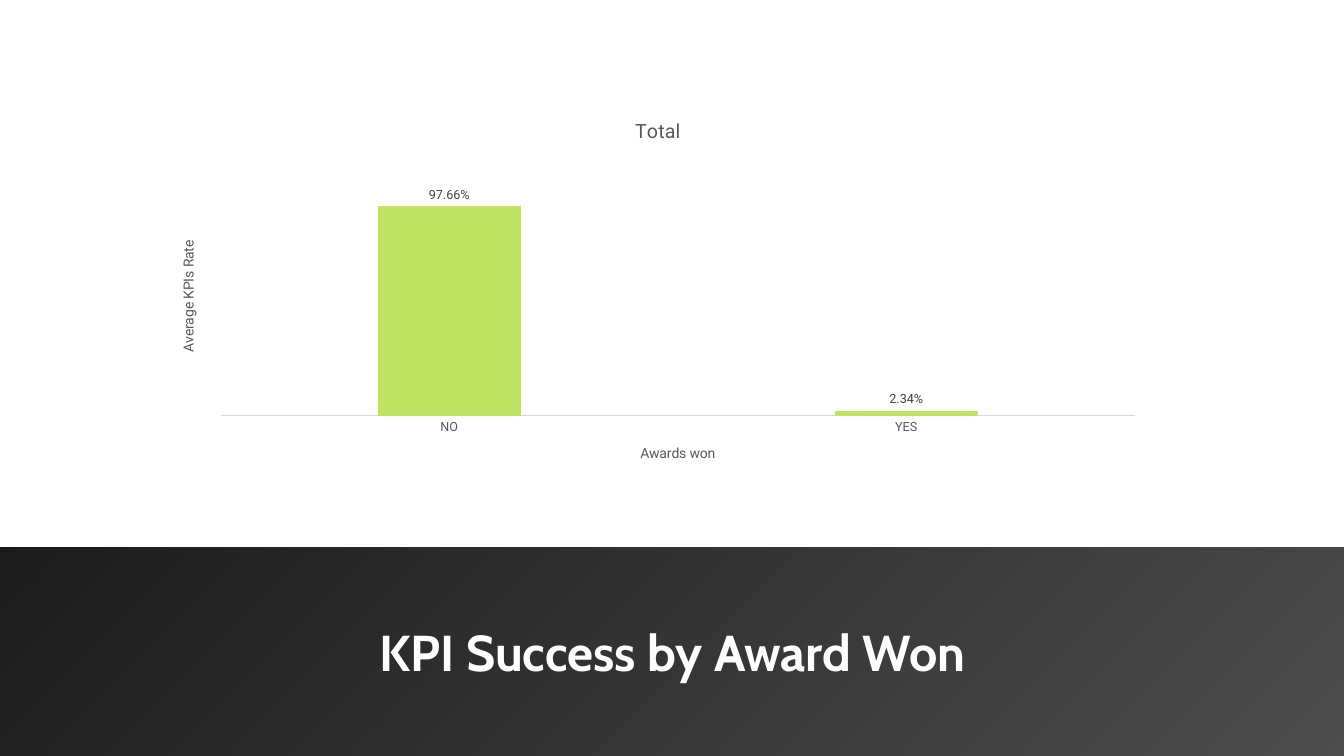
import pptx
import pptx.util
import pptx.chart.data
import pptx.dml.color
import pptx.enum.chart
import pptx.enum.shapes
import pptx.enum.text
import pptx.oxml.ns
import pptx.oxml.xmlchemy

# Content
TITLE = "KPI Success by Award Won"
CHART_TITLE = "Total"
CATEGORY_TITLE = "Awards won"
VALUE_TITLE = "Average KPIs Rate"
RATES = {"NO": 0.9766, "YES": 0.0234}
PERCENT = "0.00%"

COLORS = {"bar": "BFE462", "band": "000000", "white": "FFFFFF",
          "grey": "595959", "label": "404040", "axis": "D9D9D9"}
BAND_ALPHA = (70, 90)  # percent opacity, bottom right to top left
PLOT = {"x": 0.06, "y": 0.15, "w": 0.92, "h": 0.67}  # share of the chart

# Layout
Cm = pptx.util.Cm
SLIDE_W, SLIDE_H = Cm(33.87), Cm(19.05)
BAND_TOP = Cm(13.79)


def rgb(name):
    return pptx.dml.color.RGBColor.from_string(COLORS[name])


def set_font(font, size, color, name="Roboto", bold=False):
    font.size, font.name, font.bold = pptx.util.Pt(size), name, bold
    font.color.rgb = rgb(color)


def write(tf, text, align=None, **style):
    p = tf.paragraphs[0]
    p.alignment = align
    r = p.add_run()
    r.text = text
    set_font(r.font, **style)


def add_xml(parent, tag, value=None):
    child = pptx.oxml.xmlchemy.OxmlElement(tag)
    if value is not None:
        child.set("val", str(value))
    parent.append(child)
    return child


prs = pptx.Presentation()
prs.slide_width, prs.slide_height = SLIDE_W, SLIDE_H
s = prs.slides.add_slide(prs.slide_layouts[6])

# Dark band
band = s.shapes.add_shape(pptx.enum.shapes.MSO_SHAPE.RECTANGLE,
                          0, BAND_TOP, SLIDE_W, SLIDE_H - BAND_TOP)
band.shadow.inherit = False
band.line.fill.background()
band.fill.gradient()
band.fill.gradient_angle = 135
for stop in band.fill.gradient_stops:
    stop.color.rgb = rgb("band")
stop_colors = band.element.spPr.iter(pptx.oxml.ns.qn("a:srgbClr"))
for color, alpha in zip(list(stop_colors), BAND_ALPHA):
    add_xml(color, "a:alpha", alpha * 1000)

# Slide title
box = s.shapes.add_textbox(Cm(2.39), Cm(15.52), Cm(29.11), Cm(3.33))
box.text_frame.word_wrap = True
write(box.text_frame, TITLE, align=pptx.enum.text.PP_ALIGN.CENTER,
      size=36, color="white", name="Cabin", bold=True)

# Column chart
data = pptx.chart.data.CategoryChartData(number_format=PERCENT)
data.categories = list(RATES)
data.add_series(CHART_TITLE, list(RATES.values()))
chart = s.shapes.add_chart(pptx.enum.chart.XL_CHART_TYPE.COLUMN_CLUSTERED,
                           Cm(4.06), Cm(2.54), Cm(25.04), Cm(9.68), data).chart
set_font(chart.font, 10, "grey")
chart.has_legend = False
chart.has_title = True
write(chart.chart_title.text_frame, CHART_TITLE, size=14, color="grey")

# Axes
cat, val = chart.category_axis, chart.value_axis
for axis, title in ((cat, CATEGORY_TITLE), (val, VALUE_TITLE)):
    axis.has_major_gridlines = False
    axis.major_tick_mark = pptx.enum.chart.XL_TICK_MARK.NONE
    axis.has_title = True
    write(axis.axis_title.text_frame, title, size=10, color="grey")
body = val.axis_title.element.find(".//" + pptx.oxml.ns.qn("a:bodyPr"))
body.set("rot", "-5400000")
body.set("vert", "horz")
set_font(cat.tick_labels.font, 9, "grey")
cat.format.line.color.rgb = rgb("axis")
cat.format.line.width = pptx.util.Pt(0.75)
val.minimum_scale, val.maximum_scale = 0, 1.2
val.visible = False

# Columns and their labels
plot = chart.plots[0]
plot.gap_width, plot.overlap = 219, -27
plot.vary_by_categories = False
series = plot.series[0]
series.format.fill.solid()
series.format.fill.fore_color.rgb = rgb("bar")
labels = series.data_labels
labels.show_value = True
labels.number_format, labels.number_format_is_linked = PERCENT, False
labels.position = pptx.enum.chart.XL_LABEL_POSITION.OUTSIDE_END
set_font(labels.font, 9, "label")

# Fixed plot area
area = chart.element.find(".//" + pptx.oxml.ns.qn("c:plotArea"))
for old in area.findall(pptx.oxml.ns.qn("c:layout")):
    area.remove(old)
layout = pptx.oxml.xmlchemy.OxmlElement("c:layout")
area.insert(0, layout)
manual = add_xml(layout, "c:manualLayout")
add_xml(manual, "c:layoutTarget", "inner")
for side in "xy":
    add_xml(manual, f"c:{side}Mode", "edge")
for side, share in PLOT.items():
    add_xml(manual, f"c:{side}", share)

prs.save("out.pptx")
